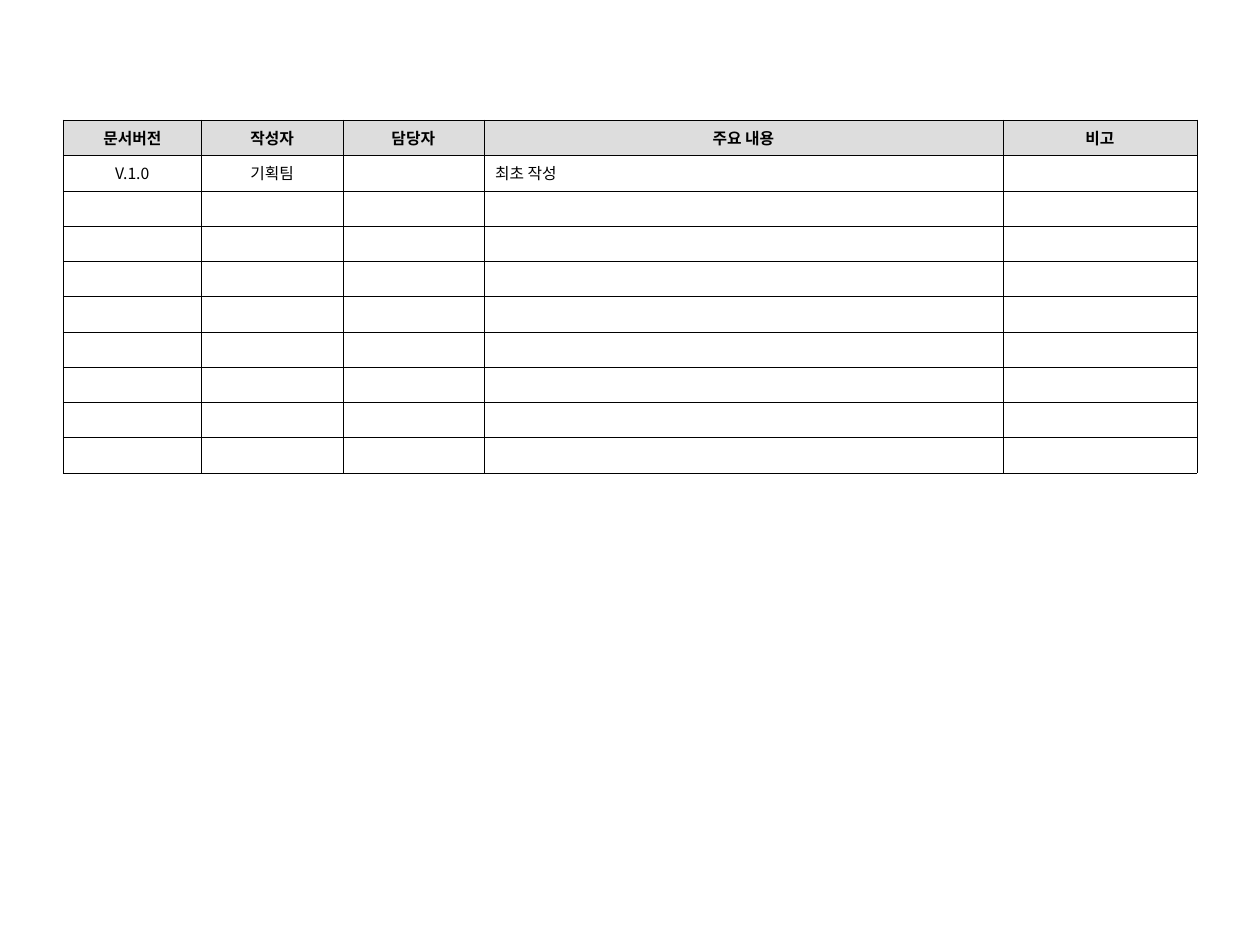
"""Build a document revision history table slide."""
from lxml.etree import SubElement
from pptx import Presentation
from pptx.dml.color import RGBColor
from pptx.enum.text import MSO_ANCHOR, PP_ALIGN
from pptx.oxml.ns import qn
from pptx.util import Inches, Pt

HEADERS = ["문서버전", "작성자", "담당자", "주요 내용", "비고"]
REVISIONS = [["V.1.0", "기획팀", "", "최초 작성", ""]]
COLUMN_WIDTHS = [1.1, 1.12, 1.12, 4.12, 1.54]
ROW_COUNT, ROW_HEIGHT = 10, 0.28
LEFT, TOP = 0.5, 0.95
CONTENT_COLUMN = 3
COLORS = {"text": "000000", "border": "000000", "header": "DDDDDD"}
FONT = "Noto Sans CJK KR"
TEXT_SIZE, BORDER_WIDTH = Pt(9), Pt(0.25)
CELL_FORMAT = {
    "vertical_anchor": MSO_ANCHOR.MIDDLE,
    "margin_left": Inches(0.09),
    "margin_right": Inches(0.09),
    "margin_top": Inches(0.05),
    "margin_bottom": Inches(0.05),
}


def set_format(target, values):
    for name, value in values.items():
        setattr(target, name, value)


def add_borders(cell):
    properties = cell._tc.get_or_add_tcPr()
    for side in ("a:lnL", "a:lnR", "a:lnT", "a:lnB"):
        line = SubElement(properties, qn(side), w=str(BORDER_WIDTH))
        fill = SubElement(line, qn("a:solidFill"))
        SubElement(fill, qn("a:srgbClr"), val=COLORS["border"])


def write_text(cell, text, bold, alignment):
    para = cell.text_frame.paragraphs[0]
    para.alignment = alignment
    if not text:
        para._p.get_or_add_endParaRPr().set("sz", str(int(TEXT_SIZE.pt * 100)))
        return
    span = para.add_run()
    span.text = text
    set_format(span.font, {"name": FONT, "size": TEXT_SIZE, "bold": bold})
    span.font.color.rgb = RGBColor.from_string(COLORS["text"])
    SubElement(span.font._element, qn("a:ea"), typeface=FONT)


deck = Presentation()
set_format(deck, {"slide_width": Inches(10), "slide_height": Inches(7.5)})
page = deck.slides.add_slide(deck.slide_layouts[6])
table = page.shapes.add_table(
    ROW_COUNT, len(HEADERS), Inches(LEFT), Inches(TOP),
    Inches(sum(COLUMN_WIDTHS)), Inches(ROW_COUNT * ROW_HEIGHT),
).table
set_format(table, {"first_row": False, "horz_banding": False})
for column, width in zip(table.columns, COLUMN_WIDTHS):
    column.width = Inches(width)

blank_rows = [[""] * len(HEADERS)] * (ROW_COUNT - 1 - len(REVISIONS))
for row_index, texts in enumerate([HEADERS] + REVISIONS + blank_rows):
    is_header = row_index == 0
    table.rows[row_index].height = Inches(ROW_HEIGHT)
    for column_index, text in enumerate(texts):
        cell = table.cell(row_index, column_index)
        set_format(cell, CELL_FORMAT)
        add_borders(cell)
        if is_header:
            cell.fill.solid()
            cell.fill.fore_color.rgb = RGBColor.from_string(COLORS["header"])
        else:
            cell.fill.background()
        centered = is_header or column_index != CONTENT_COLUMN
        write_text(cell, text, is_header, PP_ALIGN.CENTER if centered else PP_ALIGN.LEFT)

deck.save("out.pptx")
